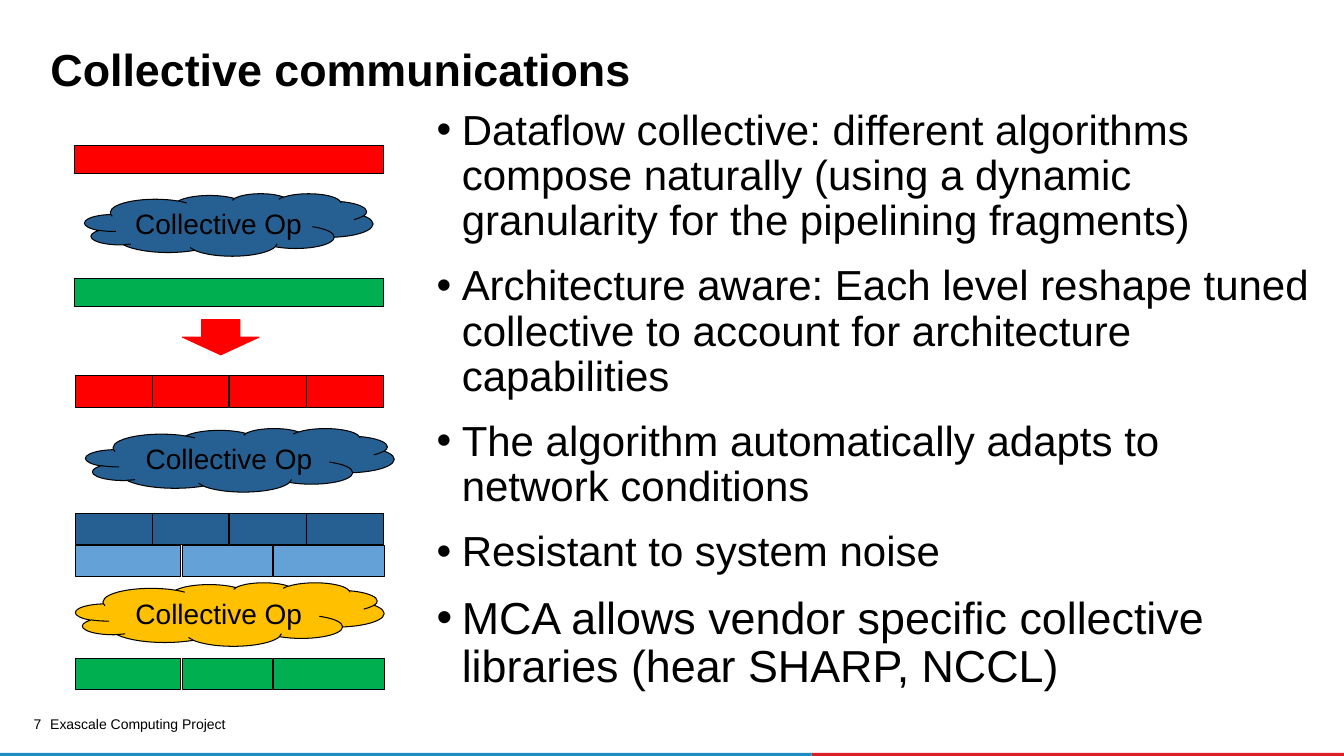
import pptx
import pptx.util
import pptx.dml.color
import pptx.enum.shapes
import pptx.enum.text
import pptx.oxml.ns
import lxml.etree

PX = 9144
BLACK, RED, GREEN = "000000", "FF0000", "00B050"
NAVY, SKY, GOLD = "266092", "64A1D7", "FFC000"

TITLE = "Collective communications"
POINTS = [
    ("Dataflow collective: different algorithms compose naturally "
     "(using a dynamic granularity for the pipelining fragments)", 30),
    ("Architecture aware: Each level reshape tuned collective to "
     "account for architecture capabilities", 30),
    ("The algorithm automatically adapts to network conditions", 30),
    ("Resistant to system noise", 30),
    ("MCA allows vendor specific collective libraries (hear SHARP, NCCL)", 32),
]
NUMBER, FOOTER = "7", "Exascale Computing Project"
LABEL = "Collective Op"

STRIPES = [(805, 529, "DA1F28"), (-1, 806, "1B8DC3")]
WHOLE = [(74, 306)]
FOURTHS = [(75 + round(i * 76.4), 76) for i in range(4)]
THIRDS = [(75, 104), (181, 89), (271, 110)]
ROWS = [
    (144, 28, RED, WHOLE),
    (276, 28, GREEN, WHOLE),
    (373, 31, RED, FOURTHS),
    (509, 31, NAVY, FOURTHS),
    (541, 31, SKY, THIRDS),
    (653, 31, GREEN, THIRDS),
]
CLOUDS = [
    (84, 192, 286, 62, NAVY),
    (85, 425, 306, 63, NAVY),
    (75, 578, 306, 63, GOLD),
]

KIND = pptx.enum.shapes.MSO_SHAPE
ALIGN = pptx.enum.text.PP_ALIGN
ANCHOR = pptx.enum.text.MSO_ANCHOR


def tint(code):
    return pptx.dml.color.RGBColor.from_string(code)


def emu(*sizes):
    return [pptx.util.Emu(size * PX) for size in sizes]


def style(para, size, bold=False):
    para.font.name = "Arial"
    para.font.size = pptx.util.Pt(size)
    para.font.bold = bold
    para.font.color.rgb = tint(BLACK)


def inset(frame, side, edge):
    frame.margin_left, frame.margin_right = emu(side, side)
    frame.margin_top, frame.margin_bottom = emu(edge, edge)


def draw(kind, box, fill, line=None):
    shape = slide.shapes.add_shape(kind, *emu(*box))
    shape.shadow.inherit = False
    shape.fill.solid()
    shape.fill.fore_color.rgb = tint(fill)
    if line:
        shape.line.color.rgb = tint(line)
        shape.line.width = pptx.util.Pt(0.75)
    else:
        shape.line.fill.background()
    return shape


def place(holder, box):
    holder.left, holder.top, holder.width, holder.height = emu(*box)
    frame = holder.text_frame
    frame.word_wrap = True
    frame.auto_size = pptx.enum.text.MSO_AUTO_SIZE.NONE
    frame.vertical_anchor = ANCHOR.TOP
    inset(frame, 10, 5)
    return frame


def note(text, box):
    frame = slide.shapes.add_textbox(*emu(*box)).text_frame
    frame.word_wrap = True
    para = frame.paragraphs[0]
    para.text = text
    style(para, 10)
    return frame


def bullet(para):
    props = para._p.get_or_add_pPr()
    props.set("marL", str(25 * PX))
    props.set("indent", str(-25 * PX))
    name = pptx.oxml.ns.qn
    hue = lxml.etree.SubElement(props, name("a:buClr"))
    lxml.etree.SubElement(hue, name("a:srgbClr"), val=BLACK)
    lxml.etree.SubElement(props, name("a:buFont"), typeface="Arial")
    lxml.etree.SubElement(props, name("a:buChar"), char="•")


deck = pptx.Presentation()
deck.slide_width, deck.slide_height = emu(1333, 750)
slide = deck.slides.add_slide(deck.slide_layouts[1])

for left, width, fill in STRIPES:
    draw(KIND.RECTANGLE, (left, 747, width, 3), fill)

page = note(NUMBER, (18, 712, 23, 17))
inset(page, 0, 0)
page.paragraphs[0].alignment = ALIGN.RIGHT
page.paragraphs[0].line_spacing = 0.9
note(FOOTER, (40, 708, 317, 20)).vertical_anchor = ANCHOR.MIDDLE

head = place(slide.shapes.title, (40, 45, 1244, 56)).paragraphs[0]
head.text = TITLE
head.alignment = ALIGN.LEFT
head.line_spacing = 0.85
style(head, 32, True)

body = place(slide.placeholders[1], (423, 103, 890, 595))
for i, (text, size) in enumerate(POINTS):
    para = body.add_paragraph() if i else body.paragraphs[0]
    para.text = text
    bullet(para)
    para.line_spacing = 0.9
    para.space_before = pptx.util.Pt(14 if i else 0)
    style(para, size)

for top, height, fill, cells in ROWS:
    for left, width in cells:
        draw(KIND.RECTANGLE, (left, top, width, height), fill, BLACK)

for *box, fill in CLOUDS:
    frame = draw(KIND.CLOUD, box, fill, BLACK).text_frame
    inset(frame, 8, 4)
    frame.vertical_anchor = ANCHOR.MIDDLE
    para = frame.paragraphs[0]
    para.text = LABEL
    para.alignment = ALIGN.CENTER
    style(para, 20)

draw(KIND.DOWN_ARROW, (181, 317, 76, 35), RED, RED)

deck.save("out.pptx")
